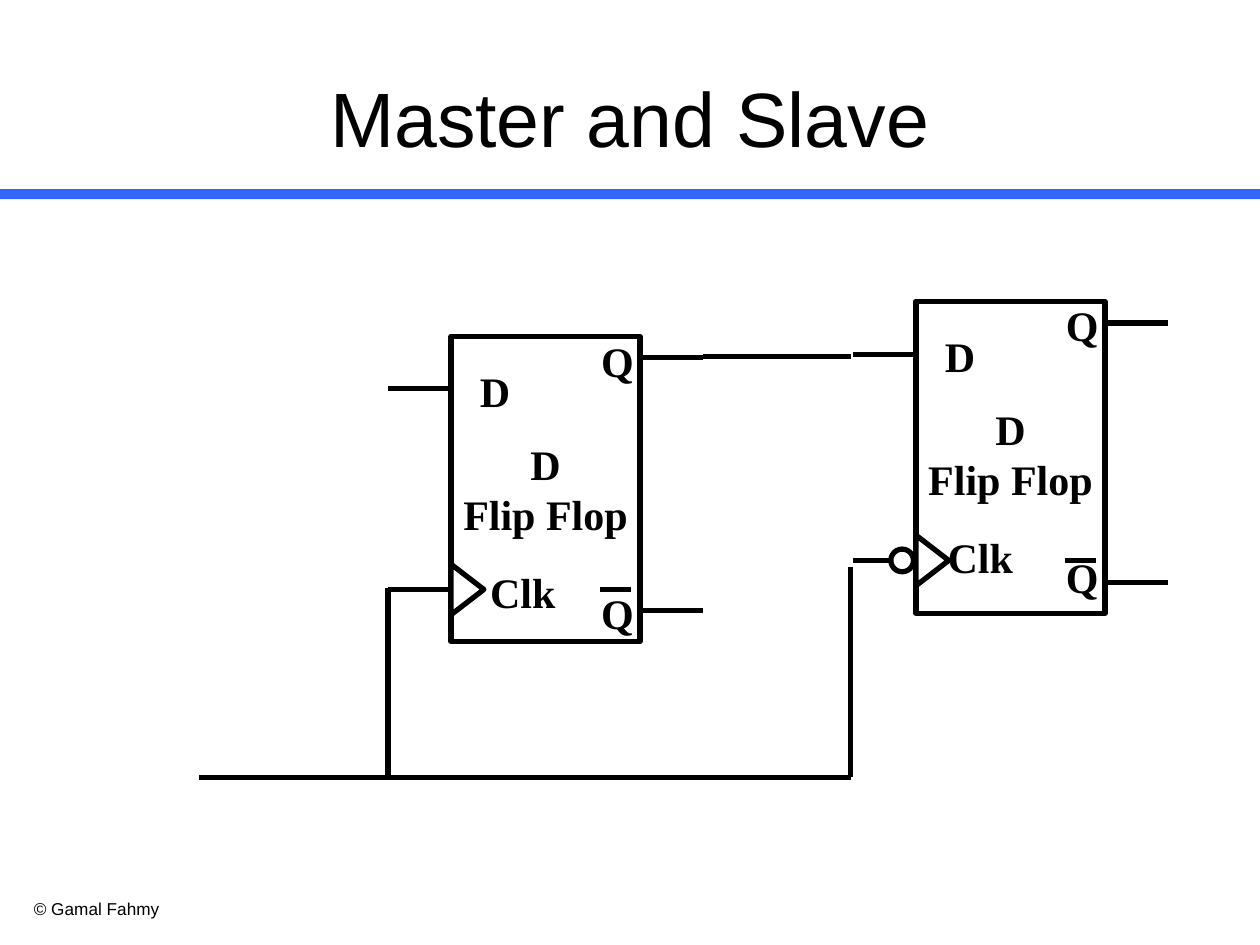
from dataclasses import dataclass

from lxml.etree import SubElement
from pptx import Presentation
from pptx.dml.color import RGBColor as Rgb
from pptx.enum.shapes import MSO_CONNECTOR as Conn, MSO_SHAPE as Kind
from pptx.enum.text import MSO_ANCHOR as Anchor, PP_ALIGN as Align
from pptx.oxml.ns import qn
from pptx.util import Inches, Pt


@dataclass(frozen=True)
class Theme:
    ink: Rgb = Rgb(0, 0, 0)
    paper: Rgb = Rgb(255, 255, 255)
    band: Rgb = Rgb(0x33, 0x66, 0xFF)
    sans: str = "Arial"
    serif: str = "Times New Roman"
    head: float = 44
    body: float = 24
    foot: float = 9.8
    wire: float = 3


class Page:
    def __init__(self, slide, theme):
        self.slide, self.theme = slide, theme

    def style(self, frame, size, font, bold=False, align=Align.CENTER):
        for para in frame.paragraphs:
            para.alignment = align
            for run in para.runs:
                run.font.size = Pt(size)
                run.font.name = font
                run.font.bold = bold
                run.font.color.rgb = self.theme.ink

    def title(self, text, x, y, w, h):
        box = self.slide.shapes.title
        box.left, box.top = Inches(x), Inches(y)
        box.width, box.height = Inches(w), Inches(h)
        box.text_frame.text = text
        box.text_frame.vertical_anchor = Anchor.MIDDLE
        self.style(box.text_frame, self.theme.head, self.theme.sans)

    def footer(self, text, x, y, w, h):
        box = self.slide.shapes.add_textbox(
            Inches(x), Inches(y), Inches(w), Inches(h))
        box.text_frame.word_wrap = True
        box.text_frame.text = text
        self.style(box.text_frame, self.theme.foot, self.theme.sans,
                   align=Align.LEFT)

    def label(self, text, x, y, w=0.8, h=0.4):
        """Bold text centred on the point x, y."""
        box = self.slide.shapes.add_textbox(
            Inches(x - w / 2), Inches(y - h / 2), Inches(w), Inches(h))
        frame = box.text_frame
        frame.margin_left = frame.margin_right = 0
        frame.margin_top = frame.margin_bottom = 0
        frame.word_wrap = True
        frame.vertical_anchor = Anchor.MIDDLE
        frame.text = text
        self.style(frame, self.theme.body, self.theme.serif, bold=True)

    def shape(self, kind, x, y, w, h, fill=None, turn=0):
        """Preset shape: outlined on paper, or plain in the given fill."""
        item = self.slide.shapes.add_shape(
            kind, Inches(x), Inches(y), Inches(w), Inches(h))
        item.shadow.inherit = False
        item.rotation = turn
        item.fill.solid()
        item.fill.fore_color.rgb = fill or self.theme.paper
        if fill:
            item.line.fill.background()
        else:
            item.line.color.rgb = self.theme.ink
            item.line.width = Pt(self.theme.wire)

    def wire(self, x1, y1, x2, y2):
        line = self.slide.shapes.add_connector(
            Conn.STRAIGHT, Inches(x1), Inches(y1), Inches(x2), Inches(y2))
        line.line.color.rgb = self.theme.ink
        line.line.width = Pt(self.theme.wire)
        SubElement(line._element.spPr, qn("a:effectLst"))

    def flop(self, x, y, h, clk, inverted=False):
        """D flip flop; clk is the offset of the clock label's centre."""
        w, pin = 1.5, 0.5
        right = x + w
        d, q, low = y + 0.17 * h, y + 0.07 * h, y + 0.9 * h
        clock = y + 0.83 * h
        self.shape(Kind.RECTANGLE, x, y, w, h)
        for start, level in ((x - pin, d), (x - pin, clock),
                             (right, q), (right, low)):
            self.wire(start, level, start + pin, level)
        self.wire(right - 0.32, clock, right - 0.07, clock)
        self.shape(Kind.ISOSCELES_TRIANGLE, x - 0.07, clock - 0.13,
                   0.4, 0.26, turn=90)
        if inverted:
            self.shape(Kind.OVAL, x - 0.2, clock - 0.09, 0.18, 0.18)
        self.label("D", x + 0.35, y + 0.43)
        self.label("Q", right - 0.18, y + 0.19)
        self.label("Q", right - 0.18, y + 2.19)
        self.label("Clk", x + clk, y + 2.03)
        self.label("D\nFlip Flop", x + w / 2, y + 1.21, w, 0.8)


def main():
    deck = Presentation()
    deck.slide_width, deck.slide_height = Inches(10), Inches(7.5)
    theme = Theme()
    page = Page(deck.slides.add_slide(deck.slide_layouts[5]), theme)

    page.shape(Kind.RECTANGLE, 0, 1.5, 10, 0.08, fill=theme.band)
    page.footer("© Gamal Fahmy", 0.17, 7.08, 2.17, 0.27)
    page.title("Master and Slave", 0.5, 0.3, 9, 1.25)

    page.flop(3.58, 2.67, 2.42, clk=0.57)
    page.flop(7.27, 2.39, 2.48, clk=0.51, inverted=True)

    left, right, rail = 3.08, 6.75, 6.17
    page.wire(5.58, 2.83, right, 2.83)
    page.wire(right, 4.5, right, rail)
    page.wire(right, rail, 1.58, rail)
    page.wire(left, 4.67, left, rail)

    deck.save("out.pptx")


if __name__ == "__main__":
    main()
